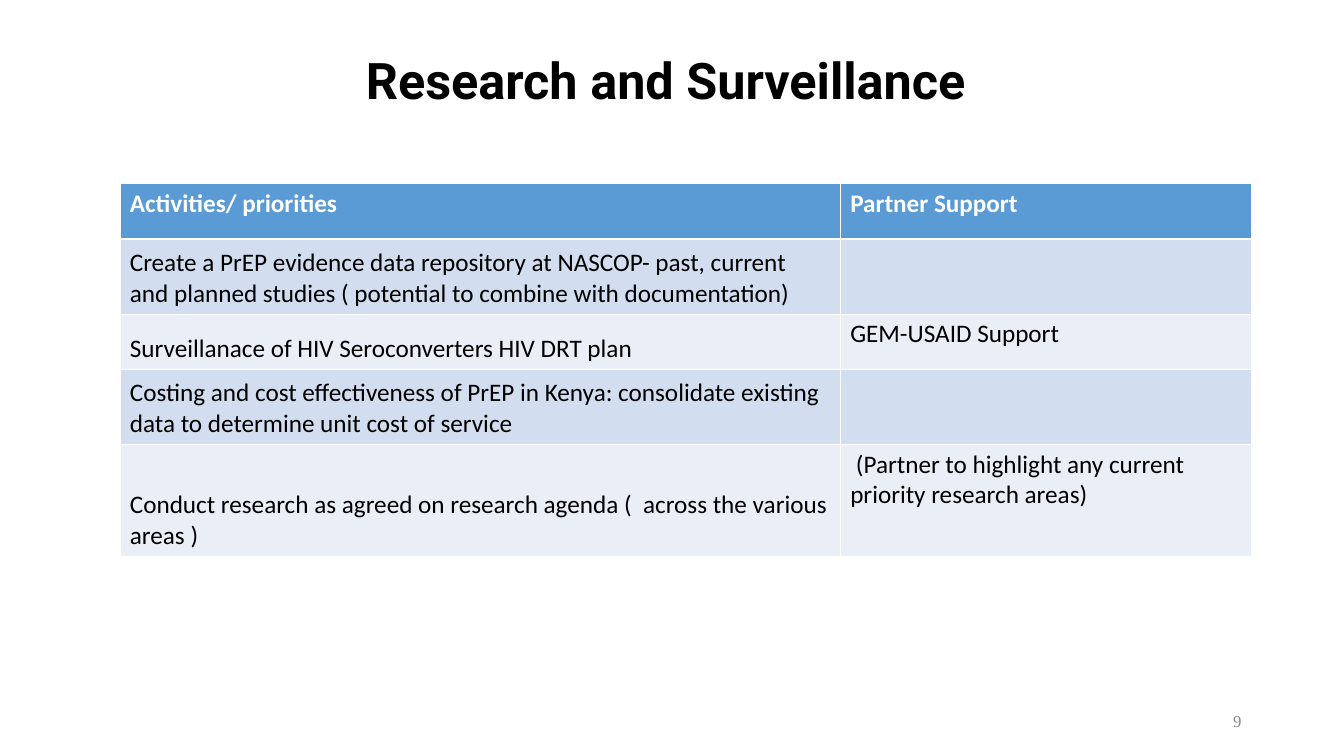
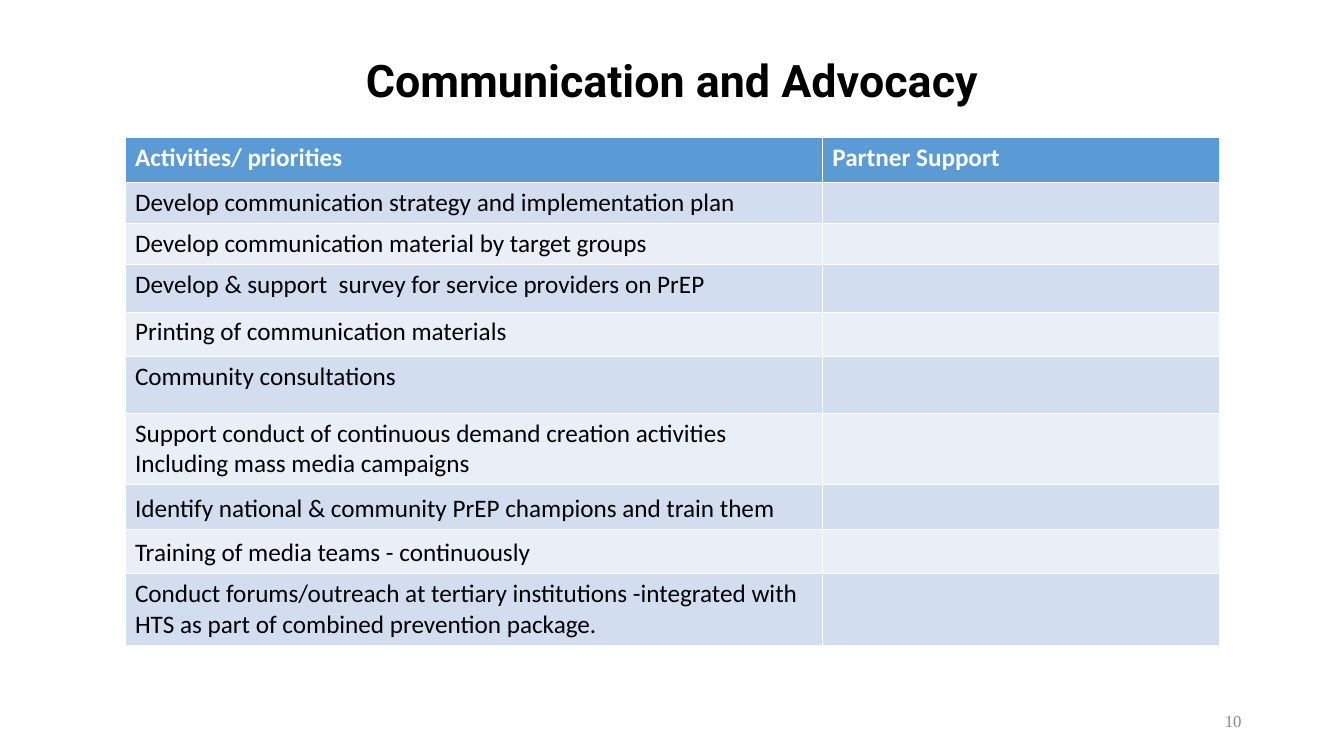
import pptx
import pptx.util
import pptx.dml.color
import pptx.enum.text
import pptx.oxml
from dataclasses import dataclass

Cm, Pt = pptx.util.Cm, pptx.util.Pt
ALIGN, ANCHOR = pptx.enum.text.PP_ALIGN, pptx.enum.text.MSO_ANCHOR
DRAWING_NS = "http://schemas.openxmlformats.org/drawingml/2006/main"


@dataclass(frozen=True)
class Theme:
    black: str = "000000"
    white: str = "FFFFFF"
    header: str = "5B9BD5"
    bands: tuple = ("D2DEEF", "EAEFF7")
    number: str = "898989"
    title_font: str = "Roboto"
    body_font: str = "Calibri"
    number_font: str = "Times New Roman"
    body_size: int = 18
    number_size: int = 12
    rule: float = 0.45
    header_rule: float = 1.47


THEME = Theme()

# Content: each row is (activity, partner support, height in cm, activity anchor)
TOP, BOTTOM = ANCHOR.TOP, ANCHOR.BOTTOM
HEADINGS = ("Activities/ priorities", "Partner Support")

SLIDES = [
    {
        "title": "Research and Surveillance ", "title_size": 36, "number": "9",
        "corner": (3.02, 4.63), "columns": (18.16, 10.36), "header_height": 1.4,
        "rows": [
            ("Create a PrEP evidence data repository at NASCOP- past, current and planned "
             "studies ( potential to combine with documentation)", "", 1.88, BOTTOM),
            ("Surveillanace of HIV Seroconverters HIV DRT plan",
             "GEM-USAID Support", 1.4, BOTTOM),
            ("Costing and cost effectiveness of PrEP in Kenya: consolidate existing data "
             "to determine unit cost of service", "", 1.88, BOTTOM),
            ("Conduct research as agreed on research agenda (  across the various areas )",
             " (Partner to highlight any current priority research areas)", 2.82, BOTTOM),
        ],
    },
    {
        "title": "Communication and Advocacy", "title_size": 32, "number": "10",
        "corner": (3.15, 3.46), "columns": (17.58, 10.01), "header_height": 1.14,
        "rows": [
            ("Develop communication strategy and implementation plan", "", 1.03, TOP),
            ("Develop communication material by target groups", "", 1.03, TOP),
            ("Develop & support  survey for service providers on PrEP", "", 1.2, TOP),
            ("Printing of communication materials", "", 1.12, TOP),
            ("Community consultations", "", 1.43, TOP),
            ("Support conduct of continuous demand creation activities\n"
             "Including mass media campaigns", "", 1.8, TOP),
            ("Identify national & community PrEP champions and train them", "", 1.12, BOTTOM),
            ("Training of media teams - continuously", "", 1.12, BOTTOM),
            ("Conduct forums/outreach at tertiary institutions -integrated with HTS as part "
             "of combined prevention package.", "", 1.8, BOTTOM),
        ],
    },
]


def rgb(value):
    return pptx.dml.color.RGBColor.from_string(value)


def write(frame, text, font, size, color, bold=False, align=ALIGN.LEFT):
    """Fill a text frame and give all its paragraphs one style."""
    frame.text = text
    for paragraph in frame.paragraphs:
        paragraph.alignment = align
        for style in [paragraph.font] + [run.font for run in paragraph.runs]:
            style.name, style.size, style.bold = font, Pt(size), bold
            style.color.rgb = rgb(color)


def set_borders(cell, top, bottom):
    properties = cell._tc.get_or_add_tcPr()
    widths = {"lnL": THEME.rule, "lnR": THEME.rule, "lnT": top, "lnB": bottom}
    for side, width in widths.items():
        properties.append(pptx.oxml.parse_xml(
            f'<a:{side} xmlns:a="{DRAWING_NS}" w="{int(Pt(width))}"><a:solidFill>'
            f'<a:srgbClr val="{THEME.white}"/></a:solidFill></a:{side}>'))


def add_title(slide, text, size):
    title = slide.shapes.title
    title.left, title.top, title.width, title.height = Cm(2.34), Cm(1.02), Cm(29.21), Cm(2.13)
    frame = title.text_frame
    frame.auto_size = pptx.enum.text.MSO_AUTO_SIZE.NONE
    frame.vertical_anchor = ANCHOR.MIDDLE
    write(frame, text, THEME.title_font, size, THEME.black, True, ALIGN.CENTER)
    frame.paragraphs[0].line_spacing = 0.9


def add_activities(slide, content):
    rows = [(*HEADINGS, content["header_height"], TOP)] + content["rows"]
    left, top = content["corner"]
    table = slide.shapes.add_table(
        len(rows), len(HEADINGS), Cm(left), Cm(top),
        Cm(sum(content["columns"])), Cm(sum(row[2] for row in rows))).table
    table.horz_banding = False
    for column, width in zip(table.columns, content["columns"]):
        column.width = Cm(width)

    for index, (activity, support, height, anchor) in enumerate(rows):
        table.rows[index].height = Cm(height)
        heading = index == 0
        fill = THEME.header if heading else THEME.bands[(index - 1) % 2]
        color = THEME.white if heading else THEME.black
        above = THEME.header_rule if index == 1 else THEME.rule
        below = THEME.header_rule if heading else THEME.rule
        for column, (text, place) in enumerate([(activity, anchor), (support, TOP)]):
            cell = table.cell(index, column)
            set_borders(cell, above, below)
            cell.fill.solid()
            cell.fill.fore_color.rgb = rgb(fill)
            cell.vertical_anchor = place
            write(cell.text_frame, text, THEME.body_font, THEME.body_size, color, heading)


def add_number(slide, number):
    frame = slide.shapes.add_textbox(Cm(23.93), Cm(17.65), Cm(7.62), Cm(1.02)).text_frame
    frame.word_wrap = True
    frame.vertical_anchor = ANCHOR.MIDDLE
    write(frame, number, THEME.number_font, THEME.number_size, THEME.number,
          align=ALIGN.RIGHT)


def main():
    deck = pptx.Presentation()
    deck.slide_width, deck.slide_height = Cm(33.88), Cm(19.05)
    title_only = deck.slide_layouts[5]
    for content in SLIDES:
        slide = deck.slides.add_slide(title_only)
        add_title(slide, content["title"], content["title_size"])
        add_activities(slide, content)
        add_number(slide, content["number"])
    deck.save("out.pptx")


if __name__ == "__main__":
    main()
